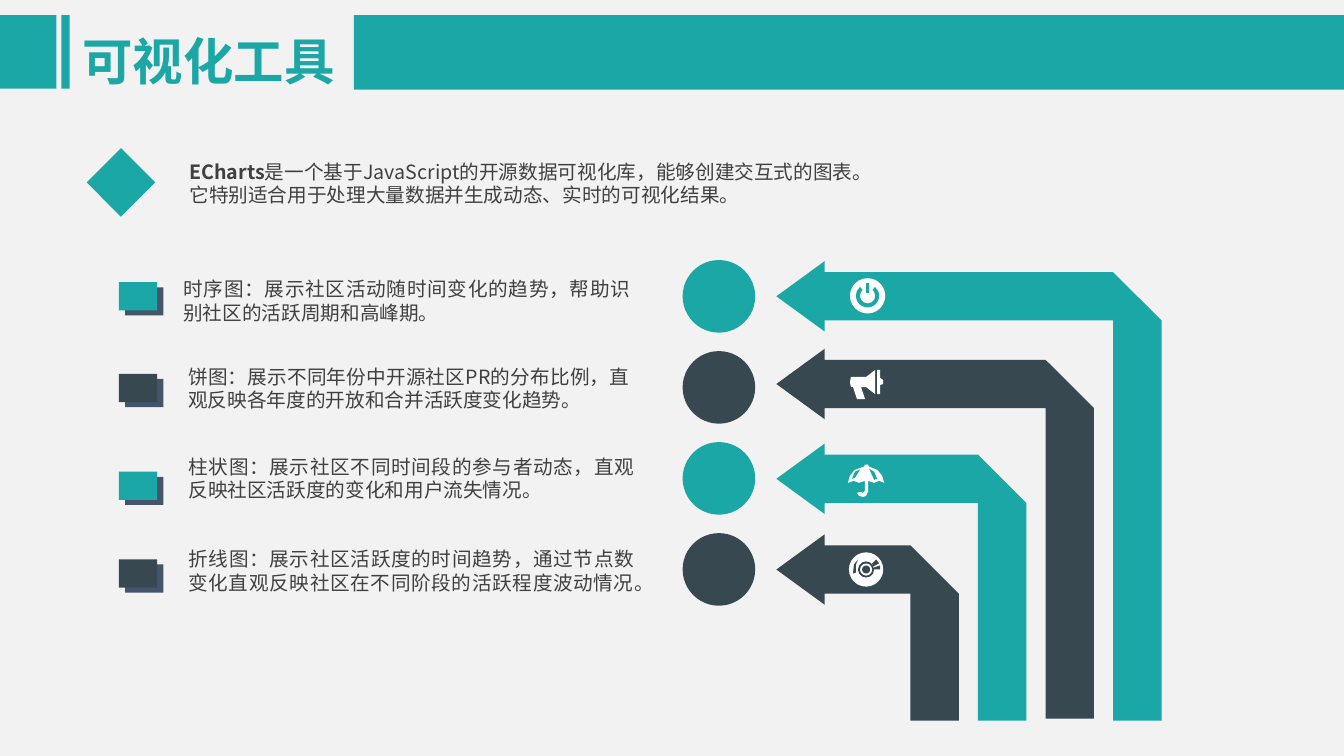
from lxml import etree
from pptx import Presentation
from pptx.dml.color import RGBColor
from pptx.enum.shapes import MSO_SHAPE
from pptx.enum.text import MSO_ANCHOR, PP_ALIGN
from pptx.oxml.ns import qn
from pptx.util import Inches, Pt

RECTANGLE, OVAL = MSO_SHAPE.RECTANGLE, MSO_SHAPE.OVAL
DIAMOND, BLOCK_ARC = MSO_SHAPE.DIAMOND, MSO_SHAPE.BLOCK_ARC
TOP, MIDDLE = MSO_ANCHOR.TOP, MSO_ANCHOR.MIDDLE
LEFT, JUSTIFY = PP_ALIGN.LEFT, PP_ALIGN.JUSTIFY

TEAL = RGBColor(0x1B, 0xA7, 0xA5)
SLATE = RGBColor(0x37, 0x48, 0x51)
SHADE = RGBColor(0x44, 0x54, 0x6A)
PALE = RGBColor(0xF2, 0xF2, 0xF2)
INK = RGBColor(0x40, 0x40, 0x40)
WHITE = RGBColor(0xFF, 0xFF, 0xFF)
FONT = "Noto Sans CJK SC"

deck = Presentation()
deck.slide_width, deck.slide_height = Inches(13.33), Inches(7.5)
page = deck.slides.add_slide(deck.slide_layouts[6])
page.background.fill.solid()
page.background.fill.fore_color.rgb = PALE


def add_figure(figure, color, *geometry):
    """Draw a preset from left, top, width, height, or an outline from points."""
    if figure is None:
        points = [(Inches(x), Inches(y)) for x, y in geometry]
        builder = page.shapes.build_freeform(*points[0], scale=1.0)
        builder.add_line_segments(points[1:], close=True)
        shape = builder.convert_to_shape()
    else:
        shape = page.shapes.add_shape(figure, *map(Inches, geometry))
    shape.shadow.inherit = False
    shape.fill.solid()
    shape.fill.fore_color.rgb = color
    shape.line.fill.background()
    return shape


def add_text(place, paragraphs, size, color, spacing, anchor, align, bold=False):
    """Each paragraph is a list of (text, bold) spans."""
    frame = page.shapes.add_textbox(*map(Inches, place)).text_frame
    frame.word_wrap = True
    frame.vertical_anchor = anchor
    for index, spans in enumerate(paragraphs):
        para = frame.add_paragraph() if index else frame.paragraphs[0]
        para.alignment = align
        para.line_spacing = spacing
        para.font.size = Pt(size)
        para.font.bold = bold
        para.font.color.rgb = color
        para.font.name = FONT
        etree.SubElement(para.font._element, qn("a:ea"), typeface=FONT)
        for text, strong in spans:
            span = para.add_run()
            span.text = text
            if strong:
                span.font.bold = True


# Title band
for left, width, height in [(0, 0.56, 0.73), (0.61, 0.08, 0.73), (3.51, 9.82, 0.74)]:
    add_figure(RECTANGLE, TEAL, left, 0.15, width, height)
add_text((0.72, 0.17, 2.95, 0.74), [[("可视化工具", False)]],
         36, TEAL, 1.2, MIDDLE, LEFT, bold=True)

# Introduction
add_figure(DIAMOND, TEAL, 0.86, 1.47, 0.68, 0.68)
add_text((1.78, 1.54, 6.91, 0.55), [
    [("ECharts", True),
     ("是一个基于JavaScript的开源数据可视化库，能够创建交互式的图表。", False)],
    [("它特别适合用于处理大量数据并生成动态、实时的可视化结果。", False)],
], 14, INK, 1.0, MIDDLE, LEFT)

# Chart types: marker top, text place, arrow tip height, arrow foot, text
chart_types = [
    (2.80, (1.72, 2.70, 4.63, 0.58), 2.94, 7.15,
     "时序图：展示社区活动随时间变化的趋势，帮助识别社区的活跃周期和高峰期。"),
    (3.71, (1.77, 3.57, 4.57, 0.70), 3.81, 7.13,
     "饼图：展示不同年份中开源社区PR的分布比例，直观反映各年度的开放和合并活跃度变化趋势。"),
    (4.68, (1.77, 4.46, 4.62, 0.74), 4.75, 7.15,
     "柱状图：展示社区不同时间段的参与者动态，直观反映社区活跃度的变化和用户流失情况。"),
    (5.55, (1.77, 5.38, 4.62, 0.58), 5.65, 7.15,
     "折线图：展示社区活跃度的时间趋势，通过节点数变化直观反映社区在不同阶段的活跃程度波动情况。"),
]
HEAD, BAND, TURN = 0.35, 0.24, 0.48
for row, (marker_top, place, tip, foot, text) in enumerate(chart_types):
    color = SLATE if row % 2 else TEAL
    add_figure(RECTANGLE, SHADE, 1.24, marker_top + 0.05, 0.38, 0.28)
    add_figure(RECTANGLE, color, 1.18, marker_top, 0.38, 0.28)
    add_text(place, [[(text, False)]], 14, INK, 1.0, TOP, JUSTIFY)
    add_figure(OVAL, color, 6.77, 2.58 + 0.903 * row, 0.72, 0.72)
    right = 11.52 - 0.67 * row
    add_figure(None, color,
               (7.7, tip), (8.18, tip - HEAD), (8.18, tip - BAND),
               (right - TURN, tip - BAND), (right, tip + BAND), (right, foot),
               (right - TURN, foot), (right - TURN, tip + BAND),
               (8.18, tip + BAND), (8.18, tip + HEAD))

# Power icon
add_figure(OVAL, WHITE, 8.43, 2.76, 0.35, 0.35)
power_ring = add_figure(BLOCK_ARC, TEAL, 8.49, 2.82, 0.23, 0.23)
power_ring.adjustments[0] = 186.0
power_ring.adjustments[1] = 138.0
power_ring.adjustments[2] = 0.17
add_figure(RECTANGLE, TEAL, 8.59, 2.81, 0.03, 0.1)

# Megaphone icon
add_figure(None, WHITE, (8.44, 3.74), (8.59, 3.74), (8.68, 3.67), (8.68, 3.91),
           (8.59, 3.84), (8.54, 3.84), (8.58, 3.96), (8.5, 3.96),
           (8.46, 3.84), (8.44, 3.84), (8.43, 3.79))
add_figure(None, WHITE, (8.7, 3.67), (8.73, 3.67), (8.73, 3.75), (8.76, 3.77),
           (8.76, 3.81), (8.73, 3.82), (8.73, 3.91), (8.7, 3.91))

# Umbrella icon
add_figure(None, WHITE, (8.41, 4.79), (8.43, 4.72), (8.48, 4.66), (8.57, 4.63),
           (8.58, 4.61), (8.61, 4.61), (8.62, 4.63), (8.7, 4.66), (8.75, 4.72),
           (8.77, 4.79), (8.72, 4.77), (8.67, 4.79), (8.61, 4.77), (8.61, 4.88),
           (8.59, 4.92), (8.56, 4.93), (8.52, 4.92), (8.5, 4.89), (8.54, 4.88),
           (8.56, 4.89), (8.58, 4.87), (8.58, 4.77), (8.52, 4.79), (8.47, 4.77))
add_figure(None, TEAL, (8.67, 4.76), (8.7, 4.75), (8.67, 4.68), (8.62, 4.65))
add_figure(None, TEAL, (8.45, 4.75), (8.48, 4.74), (8.53, 4.66), (8.48, 4.68))

# Disc icon
for radius, color in [(0.17, WHITE), (0.08, SLATE), (0.06, WHITE), (0.04, SLATE)]:
    add_figure(OVAL, color, 8.59 - radius, 5.65 - radius, 2 * radius, 2 * radius)
add_figure(None, SLATE, (8.51, 5.55), (8.47, 5.6), (8.46, 5.69), (8.49, 5.68), (8.49, 5.6))
add_figure(None, SLATE, (8.65, 5.59), (8.69, 5.55), (8.72, 5.59), (8.66, 5.62))
add_figure(None, SLATE, (8.67, 5.63), (8.73, 5.61), (8.73, 5.65), (8.67, 5.65))

deck.save("out.pptx")
